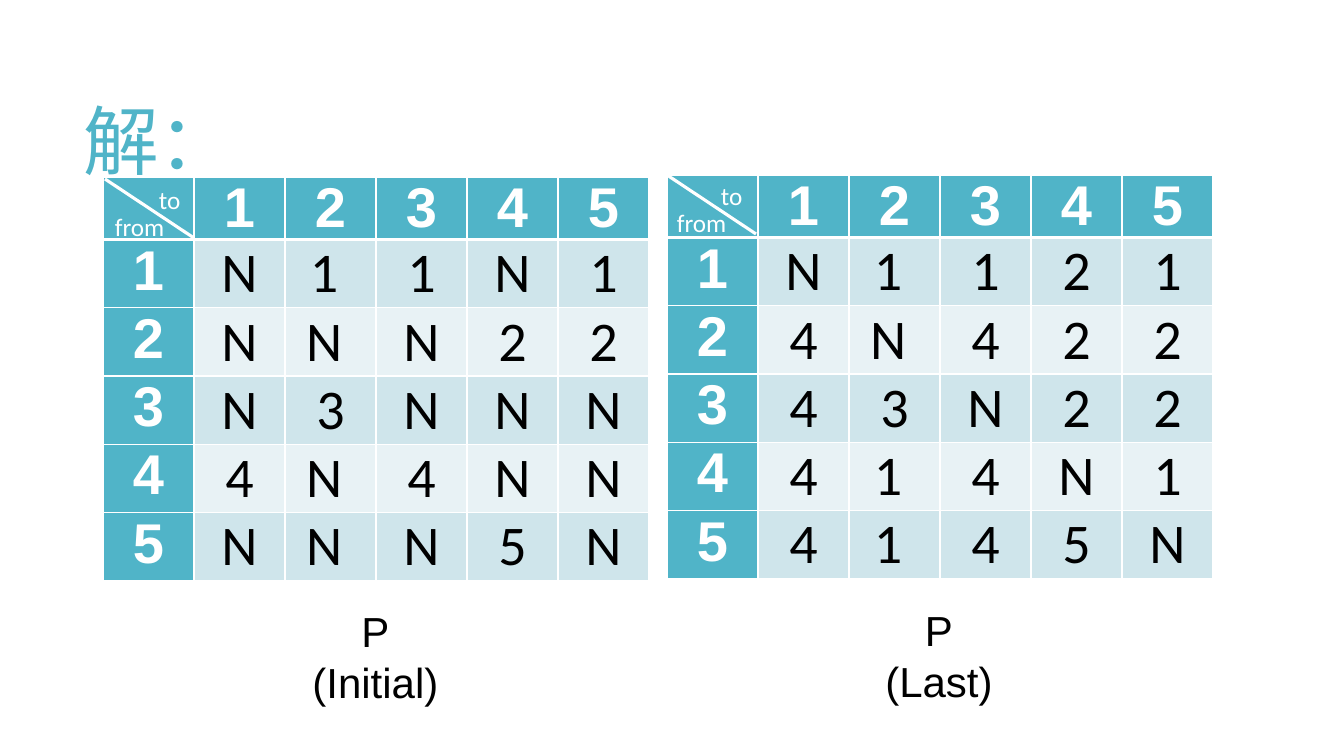
import pptx
import pptx.dml.color
import pptx.enum.shapes
import pptx.enum.text
import pptx.oxml.ns
import pptx.util
from lxml import etree

PX = 914400 / 100.8
COLORS = {"teal": "50B4C8", "band_dark": "CFE5EB", "band_light": "E8F2F5",
          "white": "FFFFFF", "black": "000000"}
ALIGN = pptx.enum.text.PP_ALIGN
ANCHOR = pptx.enum.text.MSO_ANCHOR
AUTO_SIZE = pptx.enum.text.MSO_AUTO_SIZE

COLUMN = 91
ROW_HEIGHTS = [61, 58, 61, 61, 58, 61]
NODES = ["1", "2", "3", "4", "5"]
# A trailing space in the second column shifts its centred values to the left.
INITIAL = [
    ["N", "1 ", "1", "N", "1"],
    ["N", "N ", "N", "2", "2"],
    ["N", "3", "N", "N", "N"],
    ["4", "N ", "4", "N", "N"],
    ["N", "N ", "N", "5", "N"],
]
LAST = [
    ["N", "1 ", "1", "2", "1"],
    ["4", "N ", "4", "2", "2"],
    ["4", "3", "N", "2", "2"],
    ["4", "1 ", "4", "N", "1"],
    ["4", "1 ", "4", "5", "N"],
]


def px(*lengths):
    return [pptx.util.Emu(round(length * PX)) for length in lengths]


def rgb(name):
    return pptx.dml.color.RGBColor.from_string(COLORS[name])


def write(frame, text, size, color, font="Arial", bold=False,
          align=ALIGN.LEFT, spacing=None):
    """Fill a text frame, one paragraph per line of text."""
    frame.text = text
    for paragraph in frame.paragraphs:
        paragraph.alignment = align
        if spacing:
            paragraph.line_spacing = spacing
        for run in paragraph.runs:
            run.font.size = pptx.util.Pt(size)
            run.font.name = font
            run.font.bold = bold
            run.font.color.rgb = rgb(color)


def add_borders(cell, top, bottom):
    """Draw white cell borders, with top and bottom widths in points."""
    properties = cell._tc.get_or_add_tcPr()
    for tag, width in (("lnL", 1), ("lnR", 1), ("lnT", top), ("lnB", bottom)):
        line = etree.SubElement(properties, pptx.oxml.ns.qn(f"a:{tag}"),
                                w=str(pptx.util.Pt(width)))
        fill = etree.SubElement(line, pptx.oxml.ns.qn("a:solidFill"))
        etree.SubElement(fill, pptx.oxml.ns.qn("a:srgbClr"), val=COLORS["white"])


class PathSlide:
    def __init__(self, presentation):
        self.slide = presentation.slides.add_slide(presentation.slide_layouts[5])
        self.shapes = self.slide.shapes

    def title(self, text, left, top, width, height):
        title = self.shapes.title
        title.left, title.top, title.width, title.height = px(left, top, width, height)
        frame = title.text_frame
        frame.auto_size = AUTO_SIZE.NONE
        frame.vertical_anchor = ANCHOR.MIDDLE
        write(frame, text, 54, "teal", spacing=0.85)

    def label(self, text, left, top, width, height, size, color, **style):
        frame = self.shapes.add_textbox(*px(left, top, width, height)).text_frame
        frame.word_wrap = True
        frame.auto_size = AUTO_SIZE.SHAPE_TO_FIT_TEXT
        write(frame, text, size, color, **style)

    def matrix(self, values, left, top):
        count = len(ROW_HEIGHTS)
        table = self.shapes.add_table(
            count, count, *px(left, top, COLUMN * count, sum(ROW_HEIGHTS))).table
        table.first_col = True
        for column in table.columns:
            column.width = px(COLUMN)[0]
        grid = [[""] + NODES] + [[node] + row for node, row in zip(NODES, values)]
        for r, row in enumerate(grid):
            table.rows[r].height = px(ROW_HEIGHTS[r])[0]
            for c, text in enumerate(row):
                self.matrix_cell(table.cell(r, c), text, r, c)

    def matrix_cell(self, cell, text, r, c):
        heading = r == 0 or c == 0
        add_borders(cell, top=3 if r == 1 else 1, bottom=3 if r == 0 else 1)
        band = "band_dark" if r % 2 else "band_light"
        cell.fill.solid()
        cell.fill.fore_color.rgb = rgb("teal" if heading else band)
        cell.margin_left = cell.margin_right = px(7)[0]
        cell.margin_top = cell.margin_bottom = 0
        if text:
            write(cell.text_frame, text, 40, "white" if heading else "black",
                  font="Arial" if heading else "Calibri", bold=heading,
                  align=ALIGN.CENTER)

    def corner(self, left, top):
        """Split the corner cell diagonally into its "to" and "from" halves."""
        diagonal = self.shapes.add_connector(
            pptx.enum.shapes.MSO_CONNECTOR.STRAIGHT,
            *px(left, top, left + 89, top + 59))
        diagonal.line.color.rgb = rgb("white")
        diagonal.line.width = pptx.util.Pt(2.25)
        etree.SubElement(diagonal._element.spPr, pptx.oxml.ns.qn("a:effectLst"))
        self.label("to", left + 44, top, 50, 40, 18, "white", font="Calibri")
        self.label("from", left, top + 27, 77, 40, 18, "white", font="Calibri")

    def caption(self, text, left, top, width):
        self.label(text, left, top, width, 112, 30, "black", align=ALIGN.CENTER)


def main():
    presentation = pptx.Presentation()
    presentation.slide_width, presentation.slide_height = px(1344, 756)
    page = PathSlide(presentation)
    page.title("解：", 73, 55, 1187, 182)
    page.matrix(INITIAL, 103, 177)
    page.matrix(LAST, 667, 175)
    page.corner(667, 175)
    page.corner(105, 179)
    page.caption("P\n(Initial)", 261, 601, 229)
    page.caption("P\n(Last)", 854, 600, 170)
    presentation.save("out.pptx")


if __name__ == "__main__":
    main()
